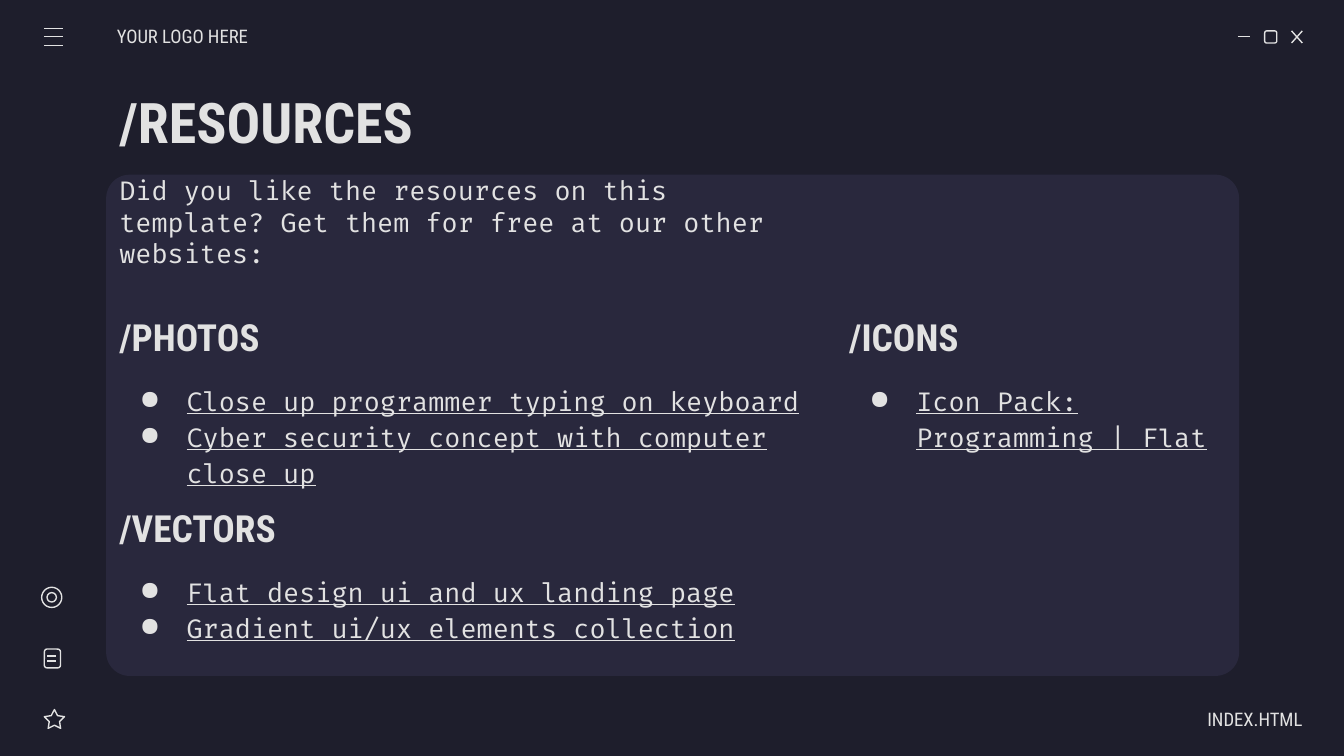
from lxml.etree import SubElement
from pptx import Presentation
from pptx.dml.color import RGBColor
from pptx.enum.shapes import MSO_CONNECTOR as Connector, MSO_SHAPE as Shape
from pptx.enum.text import MSO_ANCHOR as Anchor, PP_ALIGN as Align
from pptx.oxml.ns import qn
from pptx.util import Inches, Pt

COLORS = {"page": "1E1E2C", "panel": "29283D", "light": "E2E2E2"}
HEAD_FONT, BODY_FONT = "Roboto Condensed", "Fira Code"

# Content
TITLE = "/RESOURCES"
INTRO = ("Did you like the resources on this template? "
         "Get them for free at our other websites:")
LEFT, RIGHT = (0.79, 5.43), (6.22, 2.99)  # column left, width
SECTIONS = [  # heading, column, top, list height, items
    ("/PHOTOS", LEFT, 2.28, 0.93, ["Close up programmer typing on keyboard",
                                   "Cyber security concept with computer close up"]),
    ("/VECTORS", LEFT, 3.7, 0.67, ["Flat design ui and ux landing page",
                                   "Gradient ui/ux elements collection"]),
    ("/ICONS", RIGHT, 2.28, 0.67, ["Icon Pack: Programming | Flat"]),
]
HEADING_HEIGHT = 0.455

# Icons
ICON_SHAPES = [  # kind, left, top, width, height, first adjustment
    (Shape.ROUNDED_RECTANGLE, 9.41, 0.23, 0.09, 0.09, 0.167),  # maximize
    (Shape.STAR_5_POINT, 0.33, 5.28, 0.15, 0.14, 0.254),
    (Shape.ROUNDED_RECTANGLE, 0.33, 4.83, 0.12, 0.14, 0.167),  # note
    (Shape.OVAL, 0.31, 4.37, 0.15, 0.15, None),  # target
    (Shape.OVAL, 0.35, 4.41, 0.07, 0.07, None),
]
MENU_LINES = [(0.33, y, 0.47, y) for y in (0.21, 0.27, 0.34)]
NOTE_LINES = [(0.35, y, 0.42, y) for y in (4.88, 4.92)]
WINDOW_LINES = [(9.21, 0.27, 9.3, 0.27),  # minimize, then the close cross
                (9.61, 0.23, 9.69, 0.32), (9.69, 0.23, 9.61, 0.32)]

deck = Presentation()
deck.slide_width, deck.slide_height = Inches(10), Inches(5.625)
page = deck.slides.add_slide(deck.slide_layouts[6])


def rgb(name):
    return RGBColor.from_string(COLORS[name])


def add_shape(kind, left, top, width, height, adjust=None, fill=None):
    """Add a filled shape, or an outlined one when no fill is given."""
    shape = page.shapes.add_shape(kind, *map(Inches, (left, top, width, height)))
    shape.shadow.inherit = False
    if adjust is not None:
        shape.adjustments[0] = adjust
    if fill:
        shape.fill.solid()
        shape.fill.fore_color.rgb = rgb(fill)
        shape.line.fill.background()
    else:
        shape.fill.background()
        shape.line.color.rgb = rgb("light")
        shape.line.width = Pt(0.75)


def add_line(*ends):
    line = page.shapes.add_connector(Connector.STRAIGHT, *map(Inches, ends))
    line.line.color.rgb = rgb("light")
    line.line.width = Pt(0.75)
    SubElement(line._element.spPr, qn("a:effectLst"))


def add_bullet(para):
    props = para._p.get_or_add_pPr()
    props.set("marL", str(Inches(0.5)))
    props.set("indent", str(Inches(-0.35)))
    color = SubElement(props, qn("a:buClr"))
    SubElement(color, qn("a:srgbClr")).set("val", COLORS["light"])
    SubElement(props, qn("a:buChar")).set("char", "●")


def add_text(lines, left, top, width, height, size=14, font=BODY_FONT, bold=False,
             anchor=Anchor.MIDDLE, align=Align.LEFT, inset_left=0.1, inset_right=0.1,
             bullets=False):
    box = page.shapes.add_textbox(*map(Inches, (left, top, width, height)))
    frame = box.text_frame
    frame.word_wrap = True
    frame.vertical_anchor = anchor
    frame.margin_left, frame.margin_right = Inches(inset_left), Inches(inset_right)
    frame.margin_top = frame.margin_bottom = Inches(0.1)
    for index, line in enumerate(lines):
        para = frame.add_paragraph() if index else frame.paragraphs[0]
        para.alignment = align
        if bullets:
            para.line_spacing = 1.15
            add_bullet(para)
        span = para.add_run()
        span.text = line
        span.font.name, span.font.size, span.font.bold = font, Pt(size), bold
        span.font.underline = bullets
        span.font.color.rgb = rgb("light")


# Background and panel
page.background.fill.solid()
page.background.fill.fore_color.rgb = rgb("page")
add_shape(Shape.ROUNDED_RECTANGLE, 0.79, 1.3, 8.43, 3.73, adjust=0.047, fill="panel")

# Menu, window and side icons
for icon in ICON_SHAPES:
    add_shape(*icon)
for ends in MENU_LINES + NOTE_LINES + WINDOW_LINES:
    add_line(*ends)

# Title and introduction
add_text([TITLE], 0.79, 0.59, 6.28, 0.63, size=30, font=HEAD_FONT, bold=True)
add_text([INTRO], *LEFT[:1], 1.38, LEFT[1], 0.72, anchor=Anchor.BOTTOM)

# Sections: a heading with its list right below
for heading, (left, width), top, list_height, items in SECTIONS:
    add_text([heading], left, top, width, HEADING_HEIGHT,
             size=20, font=HEAD_FONT, bold=True)
    add_text(items, left, top + HEADING_HEIGHT, width, list_height,
             anchor=Anchor.TOP, bullets=True)

# Header and footer labels
add_text(["YOUR LOGO HERE"], 0.87, 0.12, 1.17, 0.3,
         size=10, font=HEAD_FONT, inset_left=0)
add_text(["INDEX.HTML"], 8.52, 5.2, 1.17, 0.3,
         size=10, font=HEAD_FONT, align=Align.RIGHT, inset_right=0)

deck.save("out.pptx")
